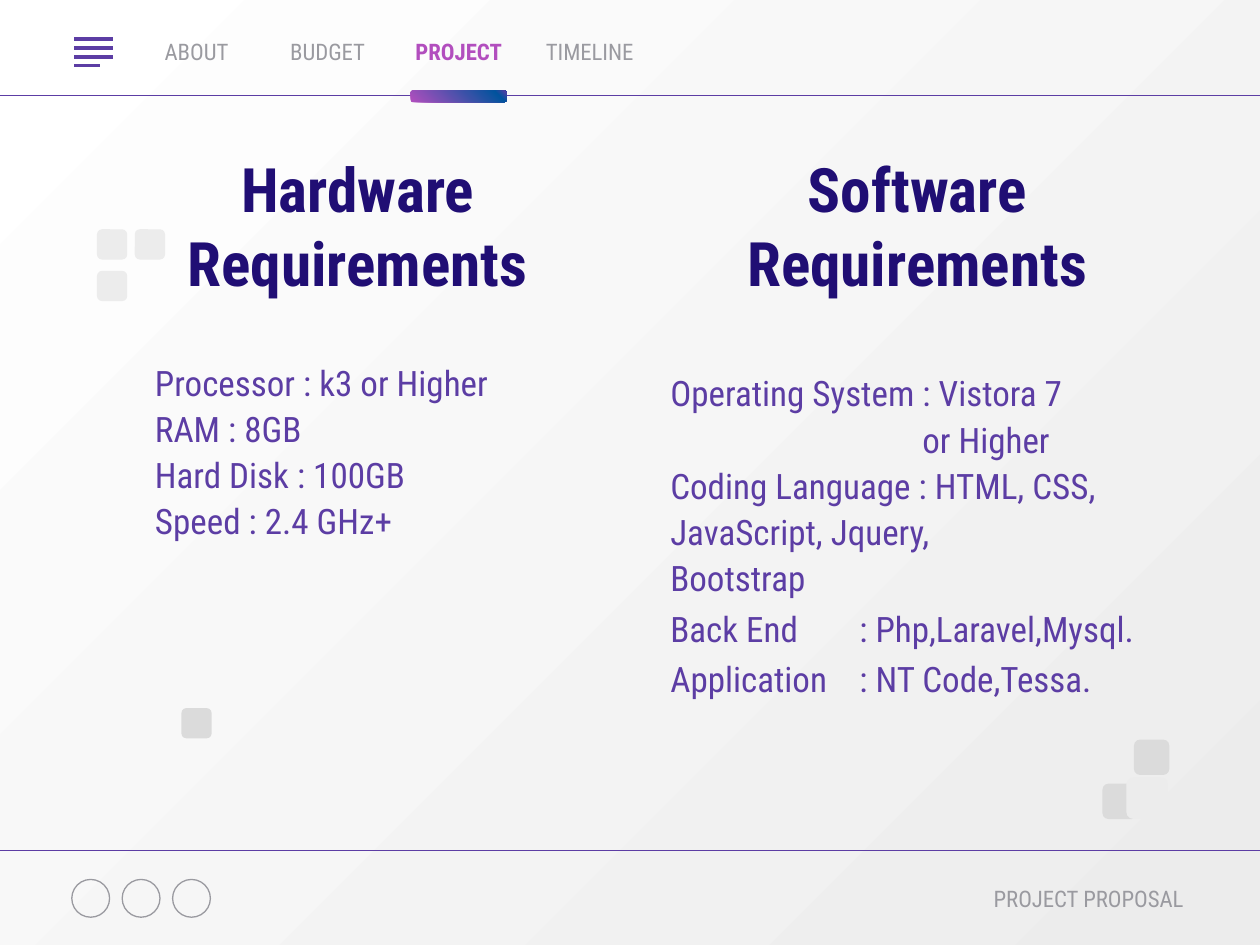
"""Build the project requirements slide."""
from copy import deepcopy
from dataclasses import dataclass
from typing import NamedTuple

from lxml.etree import SubElement
from pptx import Presentation
from pptx.dml.color import RGBColor as Rgb
from pptx.enum.shapes import MSO_CONNECTOR as Wire, MSO_SHAPE as Kind
from pptx.enum.text import MSO_ANCHOR as Anchor, MSO_AUTO_SIZE as Fit, PP_ALIGN as Align
from pptx.oxml.ns import qn
from pptx.util import Inches, Pt


@dataclass(frozen=True)
class Theme:
    face: str = "Roboto Condensed"
    navy: str = "200E74"
    violet: str = "5C3DA4"
    pink: str = "B24EBE"
    blue: str = "01539D"
    grey: str = "9A9AA0"
    white: str = "FFFFFF"
    pale: str = "ECECEC"
    dim: str = "DBDBDB"
    head: float = 35
    body: float = 20
    small: float = 13
    thin: float = 0.75
    thick: float = 2.25


class Box(NamedTuple):
    col: float
    row: float
    wide: float
    high: float


class Style(NamedTuple):
    size: float
    color: str
    bold: bool = False
    align: Align = Align.CENTER


class Line(NamedTuple):
    text: str
    space: float = 1.0
    left: float = 0
    tab: float = 0


class Tile(NamedTuple):
    col: float
    row: float
    side: float
    color: str


THEME = Theme()
COLS, ROWS = 10, 7.5
EDGE = 0.1
HEAD = Style(THEME.head, THEME.navy, True)
LIST = Style(THEME.body, THEME.violet, align=Align.LEFT)
TABS = ["ABOUT", "BUDGET", "PROJECT", "TIMELINE"]
HARD = [Line(text, 1.1) for text in (
    "Processor : k3 or Higher", "RAM : 8GB", "Hard Disk : 100GB", "Speed : 2.4 GHz+")]
SOFT = [
    Line("Operating System : Vistora 7", 1.1),
    Line("or Higher", 1.1, left=2),
    Line("Coding Language : HTML, CSS,\vJavaScript, Jquery,\vBootstrap", 1.1),
    Line("Back End\t: Php,Laravel,Mysql.", 1.2, tab=1.78),
    Line("Application\t: NT Code,Tessa.", 1.2, tab=1.76),
]
TILES = [
    Tile(0.77, 2.15, 0.24, THEME.pale),
    Tile(0.77, 1.82, 0.24, THEME.pale),
    Tile(1.07, 1.82, 0.24, THEME.pale),
    Tile(8.75, 6.22, 0.28, THEME.dim),
    Tile(9, 5.87, 0.28, THEME.dim),
    Tile(1.44, 5.62, 0.24, THEME.dim),
    Tile(8.94, 6.17, 0.33, THEME.pale),
]


def rgb(code: str) -> Rgb:
    return Rgb.from_string(code)


def span(box: Box) -> list[int]:
    return [Inches(part) for part in box]


def write(shape, box: Box, lines: list[Line], style: Style) -> None:
    shape.left, shape.top, shape.width, shape.height = span(box)
    frame = shape.text_frame
    frame.word_wrap, frame.auto_size = True, Fit.NONE
    frame.vertical_anchor = Anchor.MIDDLE
    frame.margin_left = frame.margin_right = Inches(EDGE)
    frame.margin_top = frame.margin_bottom = Inches(EDGE)
    for spot, line in enumerate(lines):
        para = frame.add_paragraph() if spot else frame.paragraphs[0]
        para.text = line.text
        props = para._p.get_or_add_pPr()
        props.set("marL", str(Inches(line.left)))
        props.set("indent", "0")
        SubElement(props, qn("a:buNone"))
        if line.tab:
            stops = SubElement(props, qn("a:tabLst"))
            SubElement(stops, qn("a:tab"), pos=str(Inches(line.tab)), algn="l")
        para.alignment, para.line_spacing = style.align, line.space
        para.space_before = para.space_after = Pt(0)
        font = para.font
        font.name, font.size, font.bold = THEME.face, Pt(style.size), style.bold
        font.color.rgb = rgb(style.color)


def label(slide, box: Box, lines: list[Line], style: Style) -> None:
    write(slide.shapes.add_textbox(*span(box)), box, lines, style)


def rule(slide, left: float, right: float, row: float, width: float) -> None:
    ends = [Inches(part) for part in (left, row, right, row)]
    wire = slide.shapes.add_connector(Wire.STRAIGHT, *ends)
    wire.line.color.rgb, wire.line.width = rgb(THEME.violet), Pt(width)
    SubElement(wire._element.spPr, qn("a:effectLst"))


def form(slide, kind: Kind, box: Box):
    shape = slide.shapes.add_shape(kind, *span(box))
    shape.shadow.inherit = False
    shape.line.fill.background()
    return shape


def blend(fill, colors: list[str], angle: float) -> None:
    fill.gradient()
    fill.gradient_angle = angle
    for stop, color in zip(fill.gradient_stops, colors):
        stop.color.rgb = rgb(color)


def bar(slide, box: Box) -> None:
    shape = form(slide, Kind.ROUNDED_RECTANGLE, box)
    blend(shape.fill, [THEME.pink, THEME.blue], 45)
    last = shape._element.spPr.findall(".//" + qn("a:gs"))[-1]
    last.addnext(deepcopy(last))
    last.set("pos", "89000")
    shape.fill.gradient_stops[2].color.rgb = rgb(THEME.violet)


def tile(slide, item: Tile) -> None:
    shape = form(slide, Kind.ROUNDED_RECTANGLE,
                 Box(item.col, item.row, item.side, item.side))
    shape.fill.solid()
    shape.fill.fore_color.rgb = rgb(item.color)


def ring(slide, box: Box) -> None:
    shape = form(slide, Kind.OVAL, box)
    shape.fill.background()
    shape.line.color.rgb, shape.line.width = rgb(THEME.grey), Pt(THEME.thin)


def main() -> None:
    deck = Presentation()
    deck.slide_width, deck.slide_height = Inches(COLS), Inches(ROWS)
    slide = deck.slides.add_slide(deck.slide_layouts[3])
    blend(slide.background.fill, [THEME.white, THEME.pale], 315)

    for row in (0.76, 6.75):
        rule(slide, 0, COLS, row, THEME.thin)
    for step, right in enumerate((0.9, 0.9, 0.9, 0.79)):
        rule(slide, 0.59, right, 0.31 + 0.07 * step, THEME.thick)
    for step in range(3):
        ring(slide, Box(0.57 + 0.4 * step, 6.98, 0.3, 0.3))
    for step, text in enumerate(TABS):
        live = text == "PROJECT"
        style = Style(THEME.small, THEME.pink if live else THEME.grey, live)
        label(slide, Box(1.01 + 1.04 * step, 0.19, 1.1, 0.44), [Line(text)], style)
    bar(slide, Box(3.26, 0.72, 0.76, 0.09))
    for item in TILES:
        tile(slide, item)

    title, left, right = slide.placeholders
    write(title, Box(0.98, 1.47, 3.72, 0.63), [Line("Hardware\vRequirements")], HEAD)
    label(slide, Box(5.42, 1.47, 3.72, 0.63),
          [Line("Software"), Line("Requirements")], HEAD)
    write(left, Box(1.13, 2.54, 3.39, 2.05), HARD, LIST)
    write(right, Box(5.22, 2.57, 4.27, 3.33), SOFT, LIST)
    label(slide, Box(6.99, 6.91, 2.5, 0.44), [Line("PROJECT PROPOSAL")],
          Style(THEME.small, THEME.grey, align=Align.RIGHT))
    deck.save("out.pptx")


if __name__ == "__main__":
    main()
